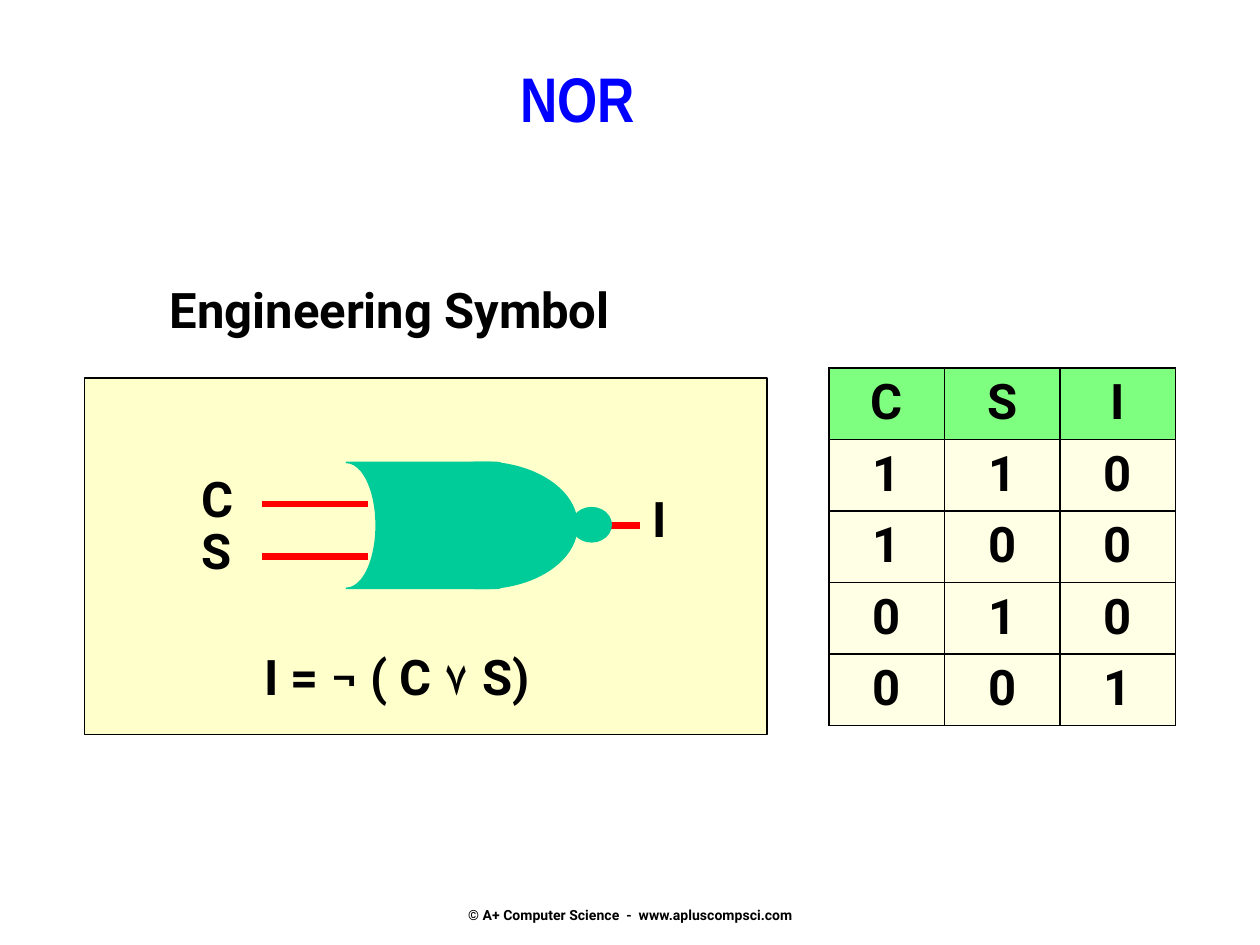
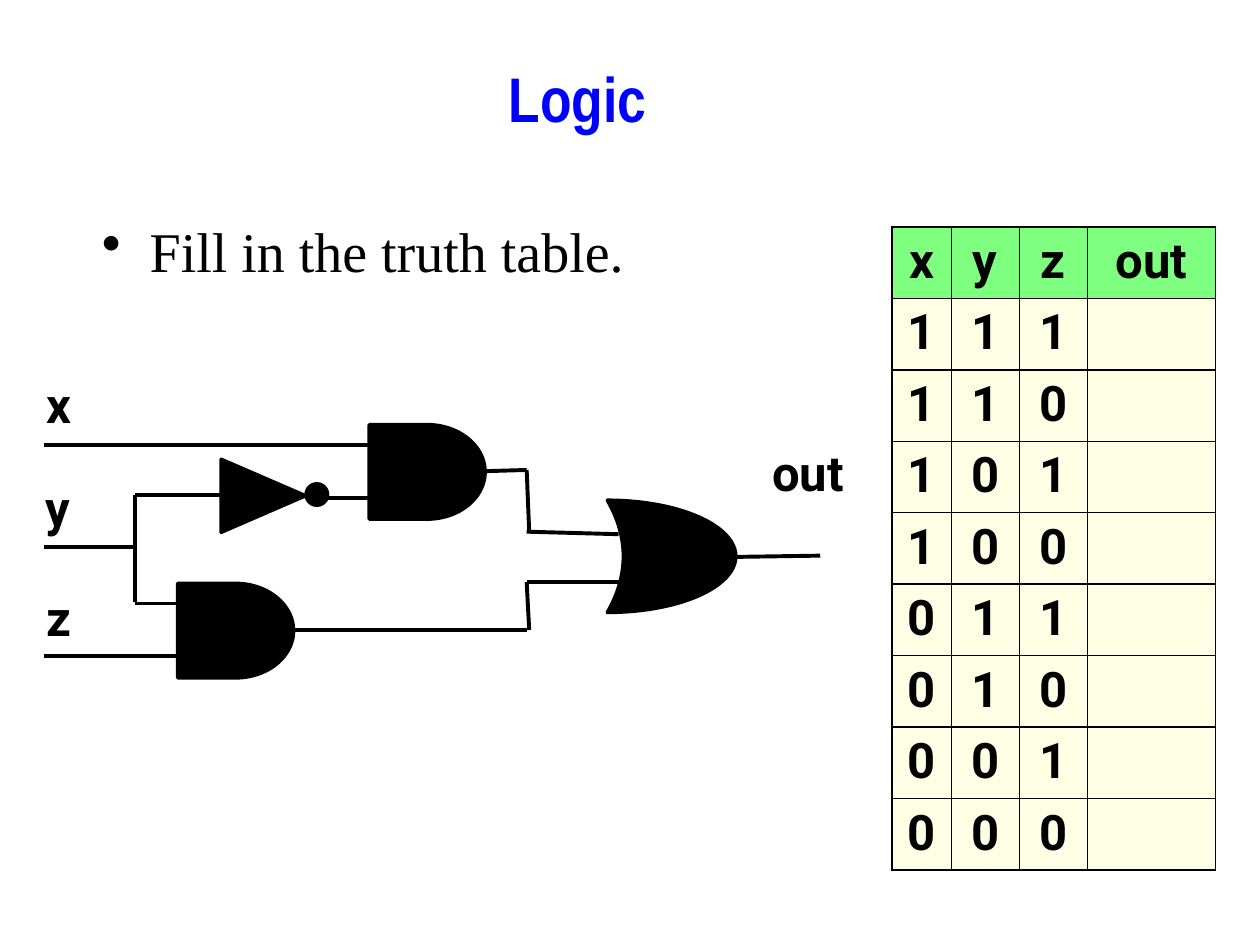
from dataclasses import dataclass
from itertools import product

from lxml import etree
from pptx import Presentation
from pptx.dml.color import RGBColor
from pptx.enum.shapes import MSO_CONNECTOR as Connector, MSO_SHAPE as Shape
from pptx.enum.text import MSO_ANCHOR as Anchor, PP_ALIGN as Align
from pptx.oxml.ns import qn
from pptx.util import Inches, Pt


@dataclass(frozen=True)
class Theme:
    ink: str = "000000"
    title: str = "0000FF"
    title_outline: str = "FFFF00"
    panel: str = "FFFFCC"
    header: str = "00FF00"
    wire: str = "FF0000"
    gate: str = "00CC99"
    label_font: str = "Roboto"
    title_font: str = "Arial Narrow"
    body_font: str = "Times New Roman"
    title_size: int = 36
    body_size: int = 32
    label_size: int = 28
    footer_size: int = 8


THEME = Theme()
LABEL = {"name": THEME.label_font, "size": Pt(THEME.label_size), "bold": True}
FOOTER = {**LABEL, "size": Pt(THEME.footer_size)}
TITLE = {"name": THEME.title_font, "size": Pt(THEME.title_size), "bold": True}
BODY = {"name": THEME.body_font, "size": Pt(THEME.body_size), "bold": False}


@dataclass(frozen=True)
class Box:
    left: float
    top: float
    width: float
    height: float

    def inside(self, left, top, width=0, height=0):
        """Turn a place relative to this box into a place on the slide."""
        return Box(self.left + left, self.top + top, width, height)

    def lengths(self):
        return [Inches(v) for v in (self.left, self.top, self.width, self.height)]


def color(value):
    return RGBColor.from_string(value)


def add_solid(parent, value, alpha=None):
    fill = etree.SubElement(parent, qn("a:solidFill"))
    srgb = etree.SubElement(fill, qn("a:srgbClr"), val=value)
    if alpha:
        etree.SubElement(srgb, qn("a:alpha"), val=str(alpha * 1000))


def format_text(paragraph, text, formats, ink=THEME.ink, align=Align.LEFT):
    run = paragraph.add_run()
    run.text = text
    for name, value in formats.items():
        setattr(run.font, name, value)
    run.font.color.rgb = color(ink)
    paragraph.alignment = align
    return run


def add_text(slide, box, text, formats=LABEL, wrap=False, anchor=Anchor.TOP, **style):
    frame = slide.shapes.add_textbox(*box.lengths()).text_frame
    frame.word_wrap = wrap
    frame.vertical_anchor = anchor
    return frame, format_text(frame.paragraphs[0], text, formats, **style)


def add_part(slide, kind, box, fill, line, width, flip=False):
    shape = slide.shapes.add_shape(kind, *box.lengths())
    shape.shadow.inherit = False
    shape.fill.solid()
    shape.fill.fore_color.rgb = color(fill)
    shape.line.color.rgb = color(line)
    shape.line.width = Pt(width)
    if flip:
        shape.element.spPr.find(qn("a:xfrm")).set("flipH", "1")
    return shape


def add_wire(slide, box, start, end, ink=THEME.ink, width=2.25):
    points = [box.inside(*point) for point in (start, end)]
    ends = [Inches(v) for point in points for v in (point.left, point.top)]
    wire = slide.shapes.add_connector(Connector.STRAIGHT, *ends)
    wire.line.color.rgb = color(ink)
    wire.line.width = Pt(width)
    etree.SubElement(wire.element.spPr, qn("a:effectLst"))


def add_title(slide, box, text):
    _, run = add_text(slide, box, text, TITLE, ink=THEME.title, align=Align.CENTER)
    outline = etree.Element(qn("a:ln"), w=str(Pt(0.75)))
    add_solid(outline, THEME.title_outline)
    run.font._element.insert(0, outline)


def add_footer(slide, box):
    frame, _ = add_text(slide, box, "© A+ Computer Science  -  www.apluscompsci.com",
                        FOOTER, anchor=Anchor.BOTTOM, align=Align.CENTER)
    frame.margin_bottom = 0


def add_bullet(slide, box, text):
    frame, _ = add_text(slide, box, text, BODY, wrap=True)
    properties = frame.paragraphs[0]._p.get_or_add_pPr()
    properties.set("marL", str(Inches(0.38)))
    properties.set("indent", str(-Inches(0.38)))
    etree.SubElement(properties, qn("a:buChar"), char="•")


def format_cell(cell, text, fill):
    if text:
        format_text(cell.text_frame.paragraphs[0], text, LABEL, align=Align.CENTER)
    properties = cell._tc.get_or_add_tcPr()
    for side in ("lnL", "lnR", "lnT", "lnB"):
        border = etree.SubElement(properties, qn(f"a:{side}"), w=str(Pt(1)))
        add_solid(border, THEME.ink)
    add_solid(properties, fill, alpha=50)


def add_truth_table(slide, box, widths, rows):
    table = slide.shapes.add_table(len(rows), len(widths), *box.lengths()).table
    table.first_row = table.horz_banding = False
    for column, width in zip(table.columns, widths):
        column.width = Inches(width)
    for index, values in enumerate(rows):
        table.rows[index].height = Inches(box.height / len(rows))
        fill = THEME.panel if index else THEME.header
        for column, value in enumerate(values):
            format_cell(table.cell(index, column), str(value), fill)


def add_nor_panel(slide, box):
    add_part(slide, Shape.RECTANGLE, box, THEME.panel, THEME.ink, 1)
    # Inputs and output
    for start, end in (((2.25, 1), (1.41, 1)),
                       ((2.25, 1.42), (1.41, 1.42)),
                       ((3.66, 1.17), (4.41, 1.17))):
        add_wire(slide, box, start, end, THEME.wire, 4)
    # Labels, with the heading above the panel
    for text, *place in (("C", 0.83, 0.67, 0.46, 0.57),
                         ("S", 0.83, 1.08, 0.45, 0.57),
                         ("I", 4.41, 0.83, 0.39, 0.57),
                         ("I = ¬ ( C ۷ S)", 1.33, 2.08, 2.82, 0.57),
                         ("Engineering Symbol", 0.58, -0.83, 4.1, 0.57)):
        add_text(slide, box.inside(*place), text)
    # Gate: curved back, round front, negation bubble
    for kind, place, flip in (
            (Shape.FLOWCHART_STORED_DATA, (2.08, 0.67, 1.42, 1), True),
            (Shape.OVAL, (2.41, 0.67, 1.5, 1), False),
            (Shape.OVAL, (3.87, 1.03, 0.31, 0.27), False)):
        add_part(slide, kind, box.inside(*place), THEME.gate, THEME.gate, 1, flip)


def add_and_gate(slide, box, input_starts):
    """Draw an AND gate; input_starts are distances left of the gate."""
    add_part(slide, Shape.FLOWCHART_DELAY, box, THEME.ink, THEME.ink, 2)
    for distance, height in zip(input_starts, (0.16, 0.58)):
        add_wire(slide, box, (0, height), (-distance, height))


def add_circuit(slide, box):
    for text, *place in (("x", 0.02, 0, 0.44, 0.57),
                         ("y", 0.01, 0.82, 0.43, 0.57),
                         ("z", 0.02, 1.69, 0.34, 0.57),
                         ("out", 5.78, 0.54, 0.86, 0.57)):
        add_text(slide, box.inside(*place), text)
    # AND gates
    add_and_gate(slide, box.inside(2.68, 0.45, 0.92, 0.75), (2.58, 0.34))
    add_and_gate(slide, box.inside(1.16, 1.71, 0.92, 0.75), (0.34, 1.06))
    # OR gate
    or_gate = add_part(slide, Shape.MOON, box.inside(4.57, 1.05, 1.02, 0.89),
                       THEME.ink, THEME.ink, 2, flip=True)
    or_gate.adjustments[0] = 0.875
    # Inverter
    inverter = add_part(slide, Shape.ISOSCELES_TRIANGLE,
                        box.inside(1.55, 0.68, 0.58, 0.67), THEME.ink, THEME.ink, 2)
    inverter.rotation = 90
    add_part(slide, Shape.OVAL, box.inside(2.18, 0.92, 0.17, 0.17),
             THEME.ink, THEME.ink, 2)
    # y to the inverter and the lower AND gate
    for start, end in (((0.82, 1.42), (0.1, 1.42)),
                       ((0.82, 1.86), (0.82, 1.01)),
                       ((1.52, 1.01), (0.82, 1.01)),
                       # AND gates to the OR gate
                       ((3.93, 0.81), (3.59, 0.82)),
                       ((3.95, 1.3), (3.93, 0.81)),
                       ((4.66, 1.32), (3.93, 1.3)),
                       ((3.93, 2.08), (2.07, 2.08)),
                       ((3.95, 2.08), (3.93, 1.7)),
                       ((4.66, 1.7), (3.93, 1.7)),
                       # Output
                       ((6.26, 1.49), (5.6, 1.5))):
        add_wire(slide, box, start, end)


def add_slide(presentation, title):
    slide = presentation.slides.add_slide(presentation.slide_layouts[6])
    add_title(slide, Box(1.92, 0.42, 5.33, 1.17), title)
    return slide


def build_nor_slide(presentation):
    slide = add_slide(presentation, "NOR")
    add_footer(slide, Box(3.42, 6.83, 3.17, 0.5))
    add_nor_panel(slide, Box(0.67, 3, 5.42, 2.83))
    rows = [(c, s, int(not (c or s))) for c, s in product((1, 0), repeat=2)]
    add_truth_table(slide, Box(6.58, 2.92, 2.75, 2.83), [2.75 / 3] * 3,
                    [("C", "S", "I"), *rows])


def build_logic_slide(presentation):
    slide = add_slide(presentation, "Logic")
    add_bullet(slide, Box(0.71, 1.67, 4.43, 0.93), "Fill in the truth table.")
    add_circuit(slide, Box(0.25, 2.92, 6.65, 2.5))
    rows = [(*inputs, "") for inputs in product((1, 0), repeat=3)]
    add_truth_table(slide, Box(7.08, 1.8, 2.58, 5.1), [0.47, 0.54, 0.54, 1.02],
                    [("x", "y", "z", "out"), *rows])


def main():
    presentation = Presentation()
    presentation.slide_width = Inches(10)
    presentation.slide_height = Inches(7.5)
    build_nor_slide(presentation)
    build_logic_slide(presentation)
    presentation.save("out.pptx")


if __name__ == "__main__":
    main()
